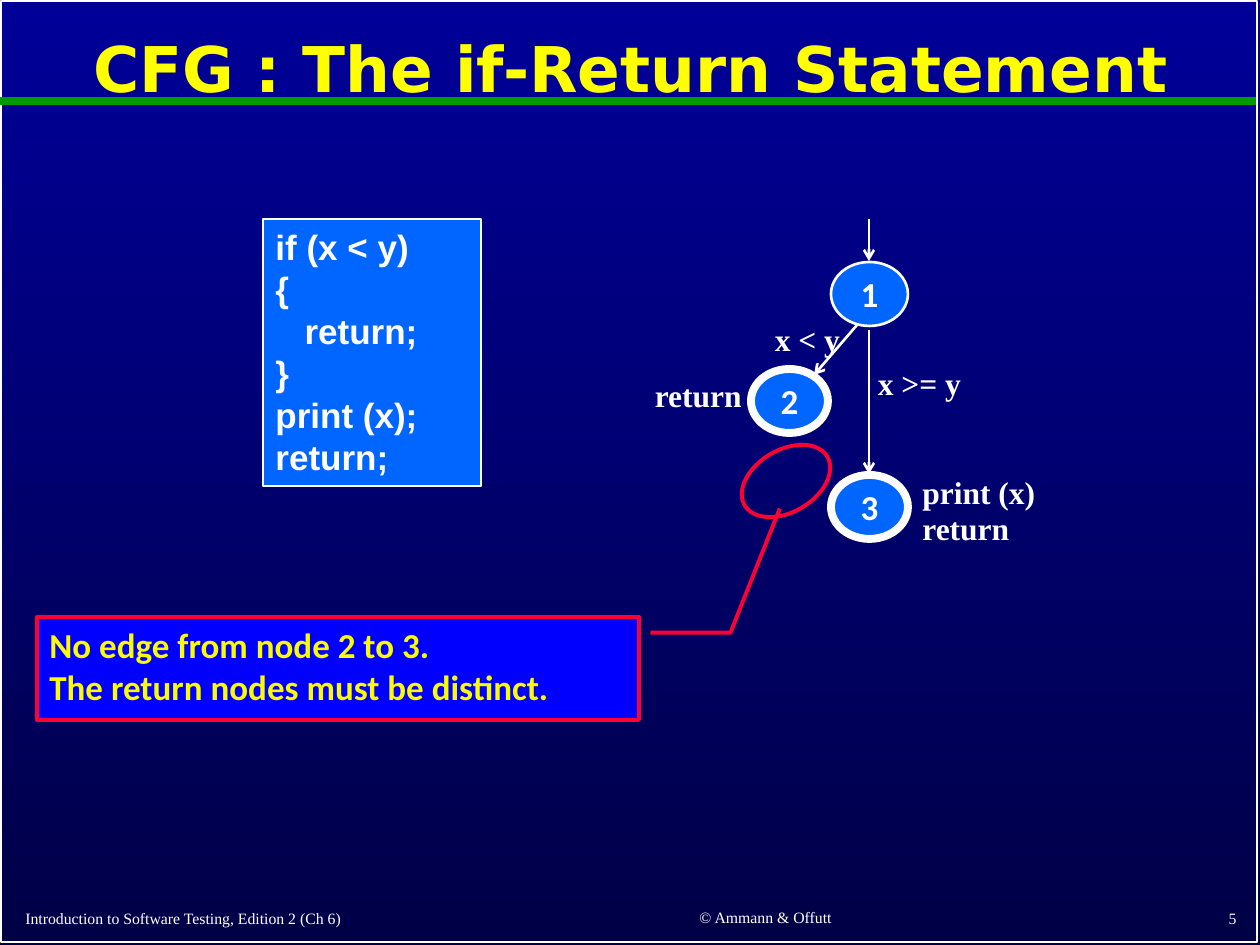
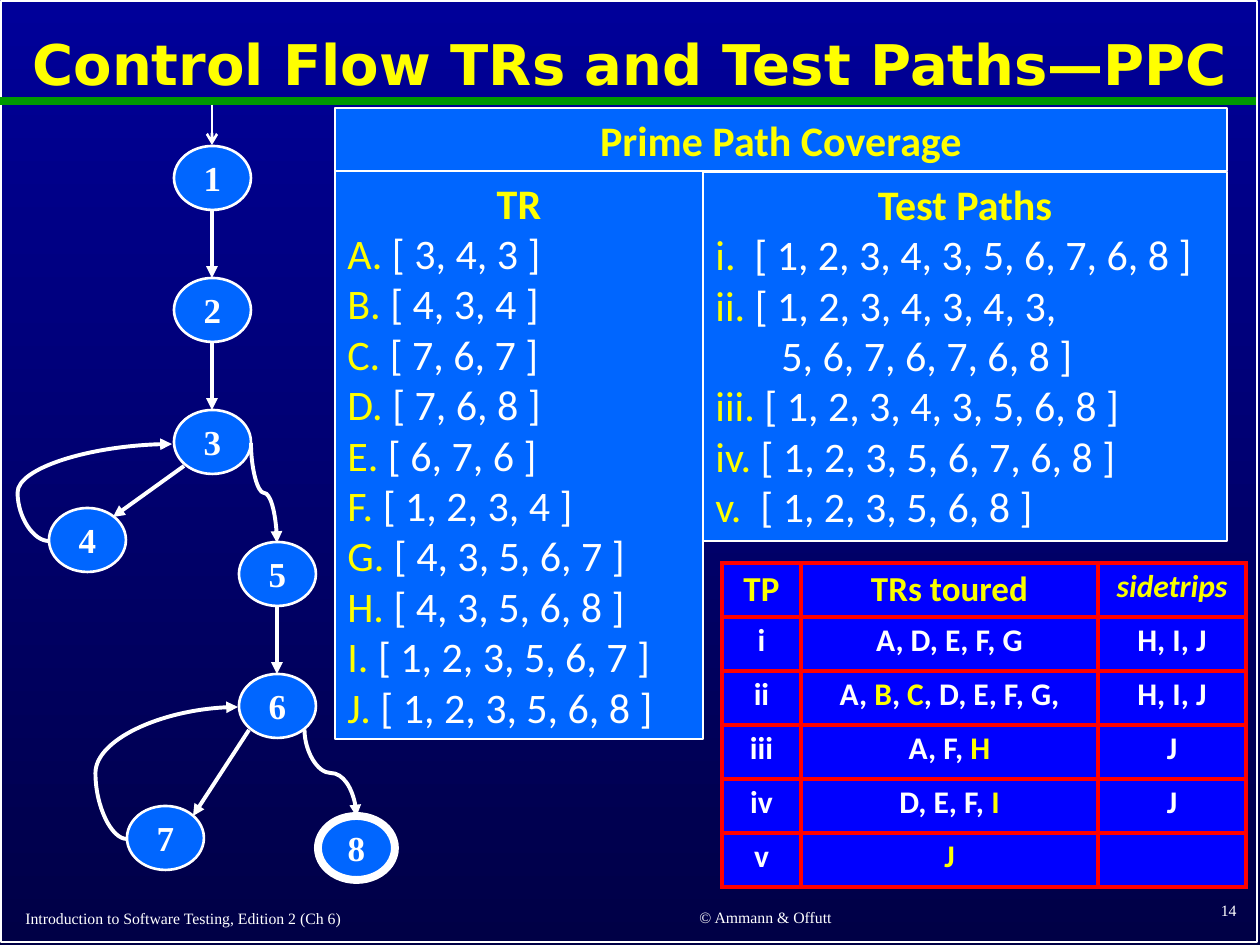
from lxml.etree import SubElement
from pptx import Presentation
from pptx.dml.color import RGBColor
from pptx.enum.shapes import MSO_CONNECTOR, MSO_SHAPE
from pptx.enum.text import MSO_ANCHOR, MSO_AUTO_SIZE, PP_ALIGN
from pptx.oxml.ns import qn
from pptx.util import Pt

SCALE = 914400 / 126
NAVY = RGBColor(0x00, 0x00, 0x99)
DARK_NAVY = RGBColor(0x00, 0x00, 0x46)
GREEN = RGBColor(0x00, 0x99, 0x00)
WHITE = RGBColor(0xFF, 0xFF, 0xFF)
YELLOW = RGBColor(0xFF, 0xFF, 0x00)
WARM_YELLOW = RGBColor(0xFA, 0xFD, 0x00)
SKY = RGBColor(0x00, 0x66, 0xFF)
BLUE = RGBColor(0x00, 0x00, 0xFF)
RED = RGBColor(0xFF, 0x00, 0x00)
CRIMSON = RGBColor(0xFF, 0x00, 0x33)
SERIF, SANS = "Times New Roman", "Calibri"
LEFT, CENTER, RIGHT = PP_ALIGN.LEFT, PP_ALIGN.CENTER, PP_ALIGN.RIGHT
NODE_WIDTH, NODE_HEIGHT = 77, 64


def px(*lengths):
    return [round(length * SCALE) for length in lengths]


class Pages:
    def __init__(self, deck):
        self.deck = deck
        deck.slide_width, deck.slide_height = px(1260, 945)
        fill = deck.slide_master.background.fill
        fill.gradient()
        fill.gradient_angle = 270
        for stop, color in zip(fill.gradient_stops, (NAVY, DARK_NAVY)):
            stop.color.rgb = color

    def start(self, title, size, title_height, number, number_top, number_height):
        self.page = self.deck.slides.add_slide(self.deck.slide_layouts[5])
        self.shape(MSO_SHAPE.RECTANGLE, (1, 1, 1256, 941), None, WHITE, 1)
        self.line((0, 101), (1256, 101), GREEN, 4.5, None)
        box = self.page.shapes.title
        box.left, box.top, box.width, box.height = px(10, 14, 1241, title_height)
        frame = box.text_frame
        frame.auto_size = MSO_AUTO_SIZE.NONE
        frame.vertical_anchor = MSO_ANCHOR.MIDDLE
        self.set_para(frame.paragraphs[0], title, size, "DejaVu Sans", YELLOW, align=CENTER)
        frame.paragraphs[0].line_spacing = 0.9
        footers = (
            ((13, 902, 518, 33), "Introduction to Software Testing, Edition 2 (Ch 6)", LEFT),
            ((566, 901, 399, 33), "© Ammann & Offutt", CENTER),
            ((987, number_top, 262, number_height), number, RIGHT),
        )
        for place, text, align in footers:
            box = self.text(place, [text], 9, align, bold=False)
            box.text_frame.vertical_anchor = MSO_ANCHOR.MIDDLE

    def set_para(self, para, content, size, font, color, bold=True, italic=False, align=LEFT):
        para.alignment = align
        para.font.size = Pt(size)
        para.font.name = font
        para.font.bold = bold
        para.font.italic = italic
        para.font.color.rgb = color
        spans = [(content, color)] if isinstance(content, str) else content
        for text, span_color in spans:
            span = para.add_run()
            span.text = text
            if span_color != color:
                span.font.color.rgb = span_color

    def fill_frame(self, frame, lines, size, font, color, bold=True, align=LEFT):
        for index, content in enumerate(lines):
            para = frame.add_paragraph() if index else frame.paragraphs[0]
            self.set_para(para, content, size, font, color, bold, align=align)

    def text(self, place, lines, size, align=LEFT, bold=True):
        box = self.page.shapes.add_textbox(*px(*place))
        box.text_frame.word_wrap = True
        self.fill_frame(box.text_frame, lines, size, SERIF, WHITE, bold, align)
        return box

    def shape(self, kind, place, fill, line, weight):
        shape = self.page.shapes.add_shape(kind, *px(*place))
        shape.shadow.inherit = False
        if fill is None:
            shape.fill.background()
        else:
            shape.fill.solid()
            shape.fill.fore_color.rgb = fill
        shape.line.color.rgb = line
        shape.line.width = Pt(weight)
        shape.text_frame.vertical_anchor = MSO_ANCHOR.TOP
        return shape

    def panel(self, place, lines, size, font=SANS, color=YELLOW, align=LEFT):
        box = self.shape(MSO_SHAPE.RECTANGLE, place, SKY, WHITE, 1)
        self.fill_frame(box.text_frame, lines, size, font, color, align=align)
        return box

    def entries(self, box, items):
        for label, route, offset in items:
            para = box.text_frame.add_paragraph()
            properties = para._p.get_or_add_pPr()
            distance = str(px(offset)[0])
            if offset and label:
                tabs = SubElement(properties, qn("a:tabLst"))
                SubElement(tabs, qn("a:tab"), pos=distance, algn="l")
            elif offset:
                properties.set("marL", distance)
                properties.set("indent", "0")
            gap = "\t" if offset else " "
            spans = [(label + gap, YELLOW)] if label else []
            self.set_para(para, spans + [(route, WHITE)], 24, SANS, WHITE, bold=False)

    def node(self, label, left, top, font=SERIF, final=False):
        place = (left, top, NODE_WIDTH, NODE_HEIGHT)
        oval = self.shape(MSO_SHAPE.OVAL, place, SKY, WHITE, 4.5 if final else 1.5)
        frame = oval.text_frame
        frame.margin_left = frame.margin_right = frame.margin_top = frame.margin_bottom = 0
        frame.vertical_anchor = MSO_ANCHOR.MIDDLE
        self.fill_frame(frame, [label], 20, font, WHITE, align=CENTER)

    def finish_line(self, connector, color, weight, arrow):
        connector.line.color.rgb = color
        connector.line.width = Pt(weight)
        properties = connector._element.spPr
        if arrow:
            SubElement(properties.find(qn("a:ln")), qn("a:tailEnd"), type=arrow)
        SubElement(properties, qn("a:effectLst"))

    def line(self, start, end, color=WHITE, weight=2.25, arrow="triangle"):
        connector = self.page.shapes.add_connector(MSO_CONNECTOR.STRAIGHT, *px(*start, *end))
        self.finish_line(connector, color, weight, arrow)

    def curve(self, left, top, width, height, turn, bend):
        ends = px(left, top, left + width, top + height)
        connector = self.page.shapes.add_connector(MSO_CONNECTOR.CURVE, *ends)
        properties = connector._element.spPr
        frame = properties.find(qn("a:xfrm"))
        frame.set("rot", str(turn * 60000))
        frame.set("flipH", "1")
        guides = properties.find(qn("a:prstGeom")).find(qn("a:avLst"))
        SubElement(guides, qn("a:gd"), name="adj1", fmla=f"val {round(bend * 100000)}")
        self.finish_line(connector, WHITE, 2.25, "triangle")

    def table(self, place, widths, rows):
        table = self.page.shapes.add_table(len(rows), len(widths), *px(*place)).table
        table.first_row = table.horz_banding = False
        for column, width in zip(table.columns, px(*widths)):
            column.width = width
        for row_index, row in enumerate(rows):
            for column_index, content in enumerate(row):
                cell = table.cell(row_index, column_index)
                cell.margin_top, cell.margin_bottom = px(5, 0)
                cell.fill.solid()
                cell.fill.fore_color.rgb = BLUE
                self.border(cell)
                heading = row_index == 0
                sidetrips = heading and column_index == 2
                size = 20 if heading and not sidetrips else 18
                color = WARM_YELLOW if heading else WHITE
                para = cell.text_frame.paragraphs[0]
                self.set_para(para, content, size, SANS, color, italic=sidetrips, align=CENTER)

    def border(self, cell):
        properties = cell._tc.get_or_add_tcPr()
        for index, side in enumerate(("lnL", "lnR", "lnT", "lnB")):
            edge = SubElement(properties, qn(f"a:{side}"), w=str(Pt(2.25)))
            fill = SubElement(edge, qn("a:solidFill"))
            SubElement(fill, qn("a:srgbClr"), val=str(RED))
            properties.insert(index, edge)


def build_if_return(pages):
    pages.start("CFG : The if-Return Statement", 36, 116, "5", 901, 34)
    code = ["if (x < y)", "{", "   return;", "}", "print (x);", "return;"]
    pages.panel((263, 219, 218, 267), code, 20, "Arial", WHITE)
    pages.node("3", 831, 475, SANS, final=True)
    pages.node("1", 831, 262, SANS)
    pages.node("2", 751, 369, SANS, final=True)
    edges = (((857, 325), (814, 375)), ((869, 219), (869, 261)), ((869, 330), (869, 474)))
    for start, end in edges:
        pages.line(start, end, weight=1.5, arrow="arrow")
    labels = (
        ((862, 358, 115, 50), ["x >= y"], CENTER, 1.0),
        ((750, 314, 115, 50), ["x < y"], CENTER, 1.0),
        ((610, 386, 144, 32), ["return"], RIGHT, 0.5),
        ((910, 483, 144, 70), ["print (x)", "return"], LEFT, 0.5),
    )
    for place, lines, align, spacing in labels:
        box = pages.text(place, lines, 18, align)
        for index, para in enumerate(box.text_frame.paragraphs):
            para.line_spacing = spacing
            if index:
                para.space_before = Pt(10)
    callout = pages.shape(MSO_SHAPE.LINE_CALLOUT_2, (37, 617, 602, 103), BLUE, CRIMSON, 2.25)
    for index, value in enumerate((0.153, 1.019, 0.153, 1.152, -1.053, 1.234)):
        callout.adjustments[index] = value
    notes = ["No edge from node 2 to 3.", "The return nodes must be distinct."]
    pages.fill_frame(callout.text_frame, notes, 20, SANS, WARM_YELLOW)
    missing_edge = pages.shape(MSO_SHAPE.OVAL, (738, 450, 96, 62), None, CRIMSON, 2.25)
    missing_edge.rotation = 329.5


def build_prime_paths(pages):
    pages.start("Control Flow TRs and Test Paths—PPC", 32, 106, "14", 885, 50)
    level = 132
    main_nodes = (("1", 174), ("2", 174), ("3", 174), ("5", 239), ("6", 239))
    for index, (label, left) in enumerate(main_nodes):
        pages.node(label, left, 146 + level * index)
    pages.node("4", 49, 508)
    pages.node("7", 127, 806)
    pages.node("8", 318, 816, final=True)
    pages.line((212, 105), (212, 145), weight=1.5, arrow="arrow")
    for center, step in ((212, 0), (212, 1), (277, 3)):
        top = 211 + level * step
        pages.line((center, top), (center, top + 67))
    pages.line((184, 466), (113, 517))
    pages.line((249, 730), (193, 816))
    pages.curve(214, 480, 100, 26, 270, 0.5)
    pages.curve(287, 747, 87, 52, 270, 0.5)
    pages.curve(49, 444, 123, 97, 180, -0.255)
    pages.curve(127, 707, 111, 132, 180, -0.284)

    requirements = (
        "3, 4, 3", "4, 3, 4", "7, 6, 7", "7, 6, 8", "6, 7, 6", "1, 2, 3, 4",
        "4, 3, 5, 6, 7", "4, 3, 5, 6, 8", "1, 2, 3, 5, 6, 7", "1, 2, 3, 5, 6, 8",
    )
    box = pages.panel((335, 171, 368, 568), ["TR"], 24, align=CENTER)
    pages.entries(box, [(f"{letter}.", f"[ {route} ]", 0)
                        for letter, route in zip("ABCDEFGHIJ", requirements)])
    test_paths = (
        ("i.", "[ 1, 2, 3, 4, 3, 5, 6, 7, 6, 8 ]", 39),
        ("ii.", "[ 1, 2, 3, 4, 3, 4, 3,", 0),
        ("", "5, 6, 7, 6, 7, 6, 8 ]", 66),
        ("iii.", "[ 1, 2, 3, 4, 3, 5, 6, 8 ]", 0),
        ("iv.", "[ 1, 2, 3, 5, 6, 7, 6, 8 ]", 0),
        ("v.", "[ 1, 2, 3, 5, 6, 8 ]", 45),
    )
    box = pages.panel((703, 172, 524, 369), ["Test Paths"], 24, align=CENTER)
    pages.entries(box, test_paths)
    pages.panel((335, 108, 892, 63), ["Prime Path Coverage"], 24, align=CENTER)

    second_tour = [("A, ", WHITE), ("B", YELLOW), (", ", WHITE), ("C", YELLOW),
                   (", D, E, F, G,", WHITE)]
    tours = (
        ("TP", "TRs toured", "sidetrips"),
        ("i", "A, D, E, F, G", "H, I, J"),
        ("ii", second_tour, "H, I, J"),
        ("iii", [("A, F, ", WHITE), ("H", YELLOW)], "J"),
        ("iv", [("D, E, F, ", WHITE), ("I", YELLOW)], "J"),
        ("v", [("J", YELLOW)], []),
    )
    pages.table((722, 563, 524, 324), (79, 297, 148), tours)


def main():
    deck = Presentation()
    pages = Pages(deck)
    build_if_return(pages)
    build_prime_paths(pages)
    deck.save("out.pptx")


if __name__ == "__main__":
    main()
